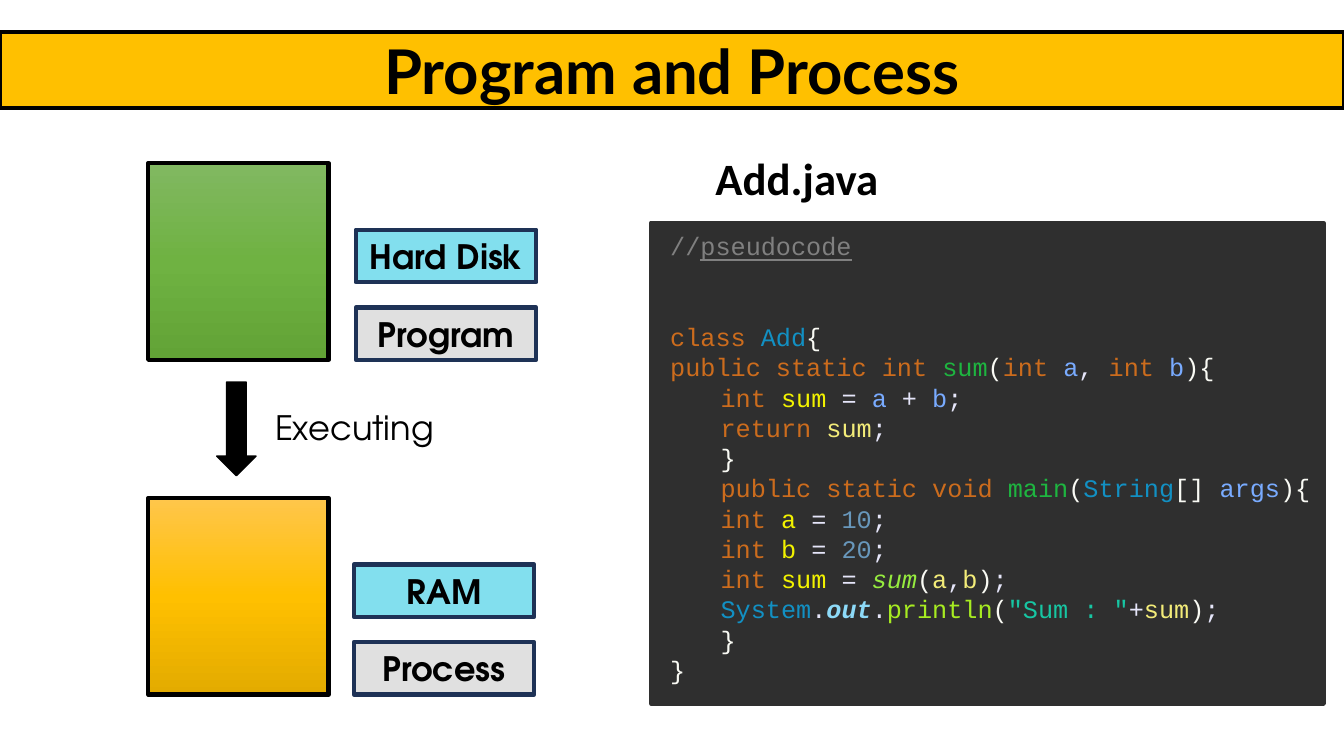
import copy

import pptx
import pptx.dml.color
import pptx.enum.shapes
import pptx.enum.text
import pptx.oxml.ns
import pptx.util

# Style: every length is in grid units, three to the inch
SLIDE_COLUMNS, SLIDE_ROWS = 40, 22.5
UNIT = pptx.util.Inches(1) / 3
LABEL_FONT, CODE_FONT = "TeX Gyre Adventor", "Courier New"
CODE_SIZE, CODE_PITCH = 18, 21.6

COLOURS = {
    "black": "000000", "banner": "FFC000", "panel": "2F2F2F",
    "place": "82DFEE", "state": "E0E0E0", "label_edge": "1E3256",
    # Code colours
    "comment": "808080", "keyword": "CC6C1D", "type": "1290C3",
    "bracket": "F9FAF4", "method": "1EB540", "parameter": "79ABFF",
    "operator": "E6E6FA", "declared": "F2F200", "variable": "F3EC79",
    "number": "6897BB", "static_call": "96EC3F", "field": "8DDAF8",
    "call": "A7EC21", "string": "17C6A3",
}
GREEN = ("81B861", "6FB242", "62A336")
AMBER = ("FFC64B", "FFC000", "E3AB00")
TOKEN_FORMATS = {
    "static_call": {"italic": True},
    "field": {"bold": True, "italic": True},
}

# Each line of code: indent level, blank lines above, tokens
CODE = [
    (0, 0, [("//", "comment"), ("pseudocode", "comment", {"underline": True})]),
    (0, 2, [("class ", "keyword"), ("Add", "type"), ("{", "bracket")]),
    (0, 0, [("public static int ", "keyword"), ("sum", "method"),
            ("(", "bracket"), ("int ", "keyword"), ("a", "parameter"),
            (", ", "operator"), ("int ", "keyword"), ("b", "parameter"),
            ("){", "bracket")]),
    (1, 0, [("int ", "keyword"), ("sum ", "declared"), ("= ", "operator"),
            ("a ", "parameter"), ("+ ", "operator"), ("b", "parameter"),
            (";", "operator")]),
    (1, 0, [("return ", "keyword"), ("sum", "variable"), (";", "operator")]),
    (1, 0, [("}", "bracket")]),
    (1, 0, [("public static void ", "keyword"), ("main", "method"),
            ("(", "bracket"), ("String", "type"), ("[] ", "bracket"),
            ("args", "parameter"), ("){", "bracket")]),
    (1, 0, [("int ", "keyword"), ("a ", "declared"), ("= ", "operator"),
            ("10", "number"), (";", "operator")]),
    (1, 0, [("int ", "keyword"), ("b ", "declared"), ("= ", "operator"),
            ("20", "number"), (";", "operator")]),
    (1, 0, [("int ", "keyword"), ("sum ", "declared"), ("= ", "operator"),
            ("sum", "static_call"), ("(", "bracket"), ("a", "variable"),
            (",", "operator"), ("b", "variable"), (")", "bracket"),
            (";", "operator")]),
    (1, 0, [("System", "type"), (".", "operator"), ("out", "field"),
            (".", "operator"), ("println", "call"), ("(", "bracket"),
            ('"Sum : "', "string"), ("+", "operator"), ("sum", "variable"),
            (")", "bracket"), (";", "operator")]),
    (1, 0, [("}", "bracket")]),
    (0, 0, [("}", "bracket")]),
]


def rgb(value):
    return pptx.dml.color.RGBColor.from_string(value)


def grid(*lengths):
    return [pptx.util.Emu(round(length * UNIT)) for length in lengths]


def write(paragraph, text, size=24, font=LABEL_FONT, colour="black",
          bold=False, italic=False, underline=False):
    run = paragraph.add_run()
    run.text = text
    run.font.size = pptx.util.Pt(size)
    run.font.name = font
    run.font.color.rgb = rgb(COLOURS[colour])
    run.font.bold, run.font.italic = bold, italic
    run.font.underline = underline


class SlideBuilder:
    def __init__(self, slide):
        self.slide = slide

    def paint(self, shape, fill, edge, width=3):
        shape.fill.solid()
        shape.fill.fore_color.rgb = rgb(COLOURS[fill])
        shape.line.color.rgb = rgb(COLOURS[edge])
        shape.line.width = pptx.util.Pt(width)

    def centre(self, shape, text, **text_format):
        frame = shape.text_frame
        frame.word_wrap = True
        frame.auto_size = pptx.enum.text.MSO_AUTO_SIZE.NONE
        frame.vertical_anchor = pptx.enum.text.MSO_ANCHOR.MIDDLE
        paragraph = frame.paragraphs[0]
        paragraph.alignment = pptx.enum.text.PP_ALIGN.CENTER
        write(paragraph, text, **text_format)

    def title(self, text, left, top, width, height):
        title = self.slide.shapes.title
        title.left, title.top, title.width, title.height = grid(
            left, top, width, height)
        self.paint(title, "banner", "black")
        self.centre(title, text, size=44, font="Lato", bold=True)

    def block(self, left, top, width, height, fill, edge="black", line=3,
              kind=pptx.enum.shapes.MSO_SHAPE.RECTANGLE):
        shape = self.slide.shapes.add_shape(
            kind, *grid(left, top, width, height))
        shape.shadow.inherit = False
        self.paint(shape, fill, edge, line)
        return shape

    def gradient_block(self, left, top, width, height, stops):
        shape = self.block(left, top, width, height, "black")
        shape.fill.gradient()
        shape.fill.gradient_angle = 270
        stop_list = shape._element.spPr.find(
            ".//" + pptx.oxml.ns.qn("a:gsLst"))
        stop_list.insert(1, copy.deepcopy(stop_list[0]))
        for index, stop in enumerate(shape.fill.gradient_stops):
            stop.position = index / 2
            stop.color.rgb = rgb(stops[index])

    def label(self, text, left, top, fill):
        shape = self.block(left, top, 5.37, 1.56, fill, "label_edge")
        self.centre(shape, text, bold=True)

    def text_box(self, left, top, width, height):
        box = self.slide.shapes.add_textbox(*grid(left, top, width, height))
        box.text_frame.word_wrap = True
        return box.text_frame

    def caption(self, text, left, top, width, height, **text_format):
        frame = self.text_box(left, top, width, height)
        write(frame.paragraphs[0], text, **text_format)

    def code(self, lines, left, top, width, height):
        frame = self.text_box(left, top, width, height)
        for index, (level, blank_lines, tokens) in enumerate(lines):
            paragraph = frame.add_paragraph() if index else frame.paragraphs[0]
            paragraph.level = level
            paragraph.line_spacing = pptx.util.Pt(CODE_PITCH)
            paragraph.space_before = pptx.util.Pt(blank_lines * CODE_PITCH)
            properties = paragraph._p.get_or_add_pPr()
            properties.set("marL", str(level * pptx.util.Inches(0.5)))
            for text, role, *extra in tokens:
                token_format = extra[0] if extra else TOKEN_FORMATS.get(role, {})
                write(paragraph, text, size=CODE_SIZE, font=CODE_FONT,
                      colour=role, **token_format)


def main():
    presentation = pptx.Presentation()
    presentation.slide_width, presentation.slide_height = grid(
        SLIDE_COLUMNS, SLIDE_ROWS)
    slide = presentation.slides.add_slide(presentation.slide_layouts[5])
    builder = SlideBuilder(slide)

    # Title banner
    builder.title("Program and Process", 0, 0.96, SLIDE_COLUMNS, 2.25)

    # Program on disk and process in memory, each with its two labels
    for top, stops, label_left, place, state in (
            (4.86, GREEN, 10.59, "Hard Disk", "Program"),
            (14.82, AMBER, 10.53, "RAM", "Process")):
        builder.gradient_block(4.41, top, 5.37, 5.85, stops)
        builder.label(place, label_left, top + 1.98, "place")
        builder.label(state, label_left, top + 4.29, "state")

    # Step from program to process
    builder.block(6.45, 11.37, 1.17, 2.79, "black", line=1,
                  kind=pptx.enum.shapes.MSO_SHAPE.DOWN_ARROW)
    builder.caption("Executing", 7.89, 11.97, 6.06, 1.5)

    # Code listing
    builder.caption("Add.java", 21, 4.35, 5.79, 1.92,
                    size=32, font="Calibri", bold=True)
    builder.block(19.38, 6.63, 20.01, 14.31, "panel", "panel")
    builder.code(CODE, 19.65, 6.72, 20.37, 13.92)

    presentation.save("out.pptx")


if __name__ == "__main__":
    main()
